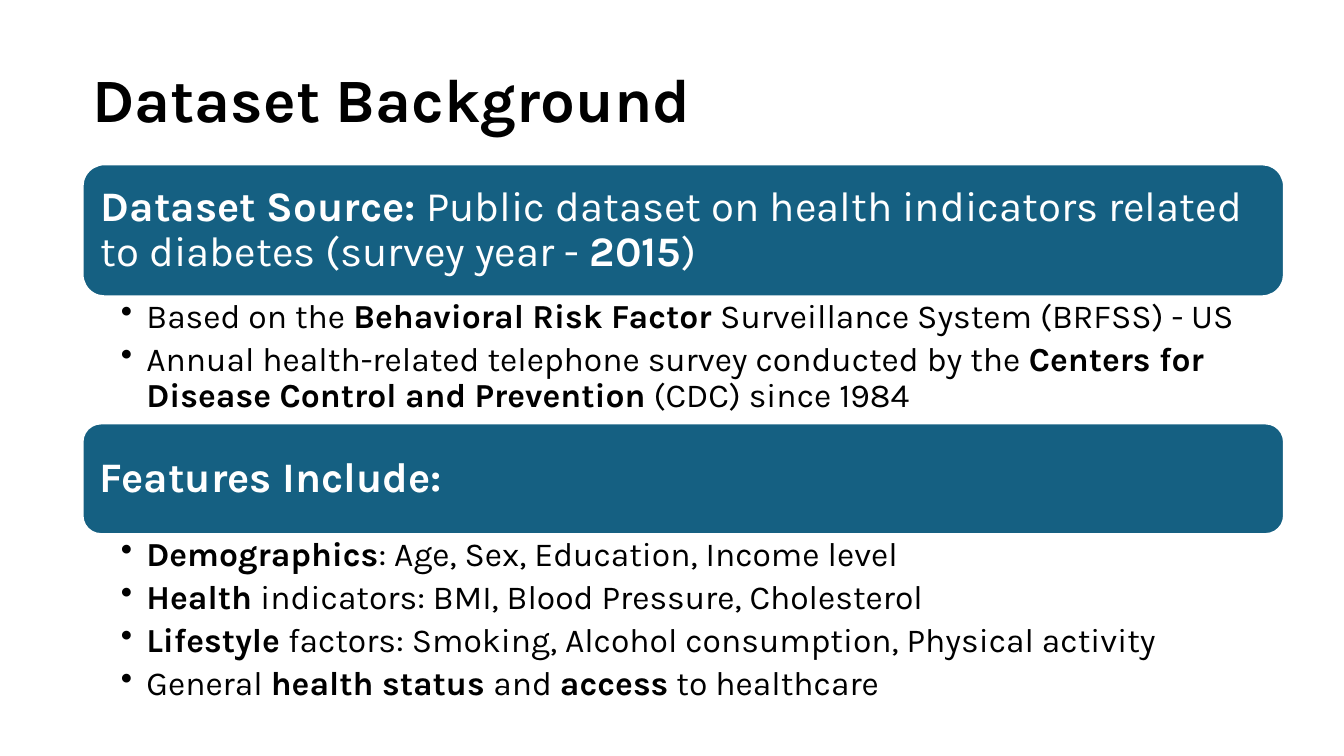
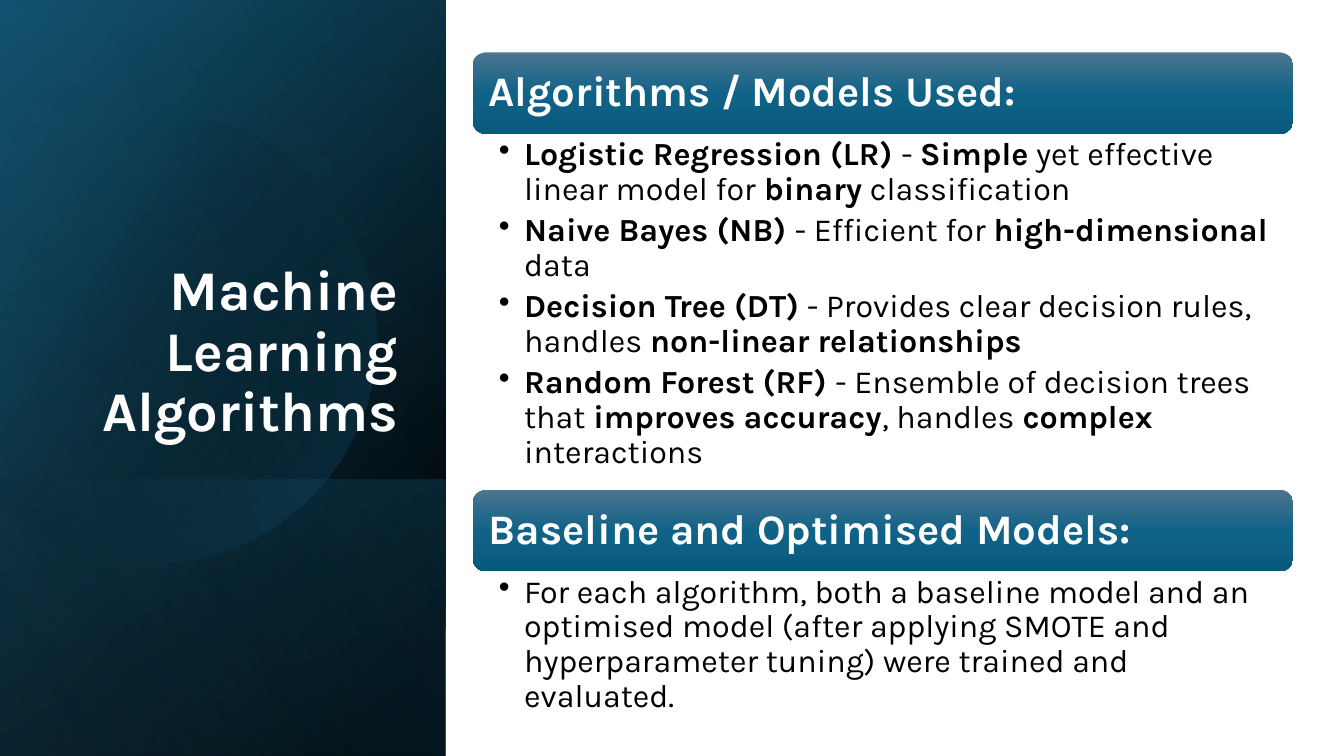
import math

from lxml import etree
from pptx import Presentation
from pptx.dml.color import RGBColor
from pptx.enum import shapes, text
from pptx.oxml import ns
from pptx.util import Cm, Pt

FONT = "Karla"
BLACK = RGBColor(0x00, 0x00, 0x00)
WHITE = RGBColor(0xFF, 0xFF, 0xFF)
TEAL = RGBColor(0x15, 0x60, 0x82)
DEEP_TEAL = RGBColor(0x10, 0x48, 0x62)
SKY = RGBColor(0x46, 0xB1, 0xE1)
BAND_TOP = RGBColor(0x4C, 0x75, 0x91)
BAND_MIDDLE = RGBColor(0x10, 0x62, 0x87)
BAND_BOTTOM = RGBColor(0x09, 0x59, 0x7D)
BAND_STOPS = [(0, BAND_TOP, 100), (50, BAND_MIDDLE, 100), (100, BAND_BOTTOM, 100)]

SLIDE_WIDTH, SLIDE_HEIGHT = 33.87, 19.05
PANEL_WIDTH = 11.23
FOOT_TOP = 12.09
HANGING = 0.64

SOURCE_SECTIONS = [
    (3.33, "*Dataset Source:* Public dataset on health indicators related "
           "to diabetes (survey year - *2015*)",
     3.2, ["Based on the *Behavioral Risk Factor *Surveillance System (BRFSS) - US",
           "Annual health-related telephone survey conducted by the "
           "*Centers for Disease Control and Prevention* (CDC) since 1984"]),
    (2.79, "*Features Include:*",
     4.57, ["*Demographics*: Age, Sex, Education, Income level",
            "*Health *indicators: BMI, Blood Pressure, Cholesterol",
            "*Lifestyle* factors: Smoking, Alcohol consumption, Physical activity",
            "General *health status *and *access* to healthcare"]),
]
MODEL_SECTIONS = [
    (2.06, "*Algorithms / Models Used:*",
     8.96, ["*Logistic Regression (LR) *- *Simple* yet effective linear model for "
            "*binary* classification",
            "*Naive Bayes (NB) *- Efficient for *high-dimensional* data",
            "*Decision Tree (DT)* - Provides clear decision rules, handles "
            "*non-linear relationships*",
            "*Random Forest (RF) *- Ensemble of decision trees that "
            "*improves accuracy*, handles *complex* interactions"]),
    (2.06, "*Baseline and Optimised Models:*",
     2.92, ["For each algorithm, both a baseline model and an optimised model "
            "(after applying SMOTE and hyperparameter tuning) were trained and evaluated."]),
]


def add_runs(paragraph, marked, size, color):
    paragraph.line_spacing = 0.9
    for index, part in enumerate(marked.split("*")):
        if part:
            run = paragraph.add_run()
            run.text = part
            run.font.name = FONT
            run.font.size = Pt(size)
            run.font.bold = index % 2 == 1
            run.font.color.rgb = color


def set_frame(frame, anchor, insets):
    frame.word_wrap = True
    frame.vertical_anchor = anchor
    left, top, right, bottom = map(Cm, insets)
    frame.margin_left, frame.margin_right = left, right
    frame.margin_top, frame.margin_bottom = top, bottom


def fill_gradient(shape, stops, angle):
    properties = shape._element.spPr
    gradient = etree.SubElement(properties, ns.qn("a:gradFill"), rotWithShape="1")
    stop_list = etree.SubElement(gradient, ns.qn("a:gsLst"))
    for position, color, opacity in stops:
        stop = etree.SubElement(stop_list, ns.qn("a:gs"), pos=str(position * 1000))
        tint = etree.SubElement(stop, ns.qn("a:srgbClr"), val=str(color))
        if opacity < 100:
            etree.SubElement(tint, ns.qn("a:alpha"), val=str(opacity * 1000))
    etree.SubElement(gradient, ns.qn("a:lin"), ang=str(angle * 60000), scaled="0")
    shape.line.fill.background()
    shape.shadow.inherit = False


def add_title(slide, title, box, size, color, align, anchor):
    heading = slide.shapes.add_textbox(*map(Cm, box))
    set_frame(heading.text_frame, anchor, (0.25, 0.13, 0.25, 0.13))
    paragraph = heading.text_frame.paragraphs[0]
    paragraph.alignment = align
    add_runs(paragraph, f"*{title}*", size, color)


def add_band(slide, box, heading, stops):
    band = slide.shapes.add_shape(shapes.MSO_SHAPE.ROUNDED_RECTANGLE, *map(Cm, box))
    if stops:
        fill_gradient(band, stops, 90)
    else:
        band.fill.solid()
        band.fill.fore_color.rgb = TEAL
        band.line.color.rgb = WHITE
        band.line.width = Pt(1.5)
        band.shadow.inherit = False
    set_frame(band.text_frame, text.MSO_ANCHOR.MIDDLE, (0.3, 0.3, 0.3, 0.3))
    paragraph = band.text_frame.paragraphs[0]
    paragraph.alignment = text.PP_ALIGN.LEFT
    add_runs(paragraph, heading, 30, WHITE)


def add_bullets(slide, box, points, size, insets):
    body = slide.shapes.add_textbox(*map(Cm, box))
    frame = body.text_frame
    set_frame(frame, text.MSO_ANCHOR.TOP, insets)
    for index, point in enumerate(points):
        paragraph = frame.add_paragraph() if index else frame.paragraphs[0]
        properties = paragraph._p.get_or_add_pPr()
        properties.set("marL", str(Cm(HANGING)))
        properties.set("indent", str(-Cm(HANGING)))
        etree.SubElement(properties, ns.qn("a:buChar"), char="•")
        paragraph.space_after = Pt(round(size * 0.2, 1))
        add_runs(paragraph, point, size, BLACK)


def add_sections(slide, left, top, width, sections, size, insets, stops=None):
    for band_height, heading, body_height, points in sections:
        add_band(slide, (left, top, width, band_height), heading, stops)
        top += band_height
        add_bullets(slide, (left, top, width, body_height), points, size, insets)
        top += body_height


def add_panel_layer(slide, top, stops, angle):
    height = SLIDE_HEIGHT - top
    box = ((PANEL_WIDTH - height) / 2, top + (height - PANEL_WIDTH) / 2, height, PANEL_WIDTH)
    layer = slide.shapes.add_shape(shapes.MSO_SHAPE.RECTANGLE, *map(Cm, box))
    layer.rotation = 90
    layer._element.spPr.xfrm.set("flipH", "1")
    fill_gradient(layer, stops, angle)


def add_panel_disc(slide, center_x, center_y, radius):
    edge = math.acos(-center_x / radius)
    steps = 90
    angles = [edge * (2 * step / steps - 1) for step in range(steps + 1)]
    points = [(Cm(center_x + radius * math.cos(angle)), Cm(center_y + radius * math.sin(angle)))
              for angle in angles]
    outline = slide.shapes.build_freeform(*points[0])
    outline.add_line_segments(points[1:], close=True)
    fill_gradient(outline.convert_to_shape(), [(29, BLACK, 0), (100, TEAL, 43)], 30)


def add_panel(slide):
    add_panel_layer(slide, 0, [(8, BLACK, 100), (100, DEEP_TEAL, 100)], 50)
    add_panel_layer(slide, 0, [(0, BLACK, 0), (99, TEAL, 46)], 30)
    add_panel_layer(slide, FOOT_TOP, [(2, TEAL, 29), (100, BLACK, 30)], 130)
    add_panel_disc(slide, 3.8, 8.5, 5.7)
    add_panel_layer(slide, 0, [(0, BLACK, 0), (99, SKY, 11)], 120)


def main():
    deck = Presentation()
    deck.slide_width, deck.slide_height = Cm(SLIDE_WIDTH), Cm(SLIDE_HEIGHT)
    blank = deck.slide_layouts[6]

    background = deck.slides.add_slide(blank)
    add_title(background, "Dataset Background", (2.08, 0.74, 29.21, 3.68), 44, BLACK,
              text.PP_ALIGN.LEFT, text.MSO_ANCHOR.MIDDLE)
    add_sections(background, 2.08, 4.14, 30.28, SOURCE_SECTIONS, 24, (0.97, 0.08, 0.48, 0.08))

    algorithms = deck.slides.add_slide(blank)
    add_panel(algorithms)
    add_title(algorithms, "Machine Learning Algorithms", (1.63, 4.67, 8.66, 6.65), 40, WHITE,
              text.PP_ALIGN.RIGHT, text.MSO_ANCHOR.BOTTOM)
    add_sections(algorithms, 11.91, 1.32, 20.68, MODEL_SECTIONS, 23, (0.66, 0.1, 0.58, 0.1),
                 BAND_STOPS)

    deck.save("out.pptx")


if __name__ == "__main__":
    main()
